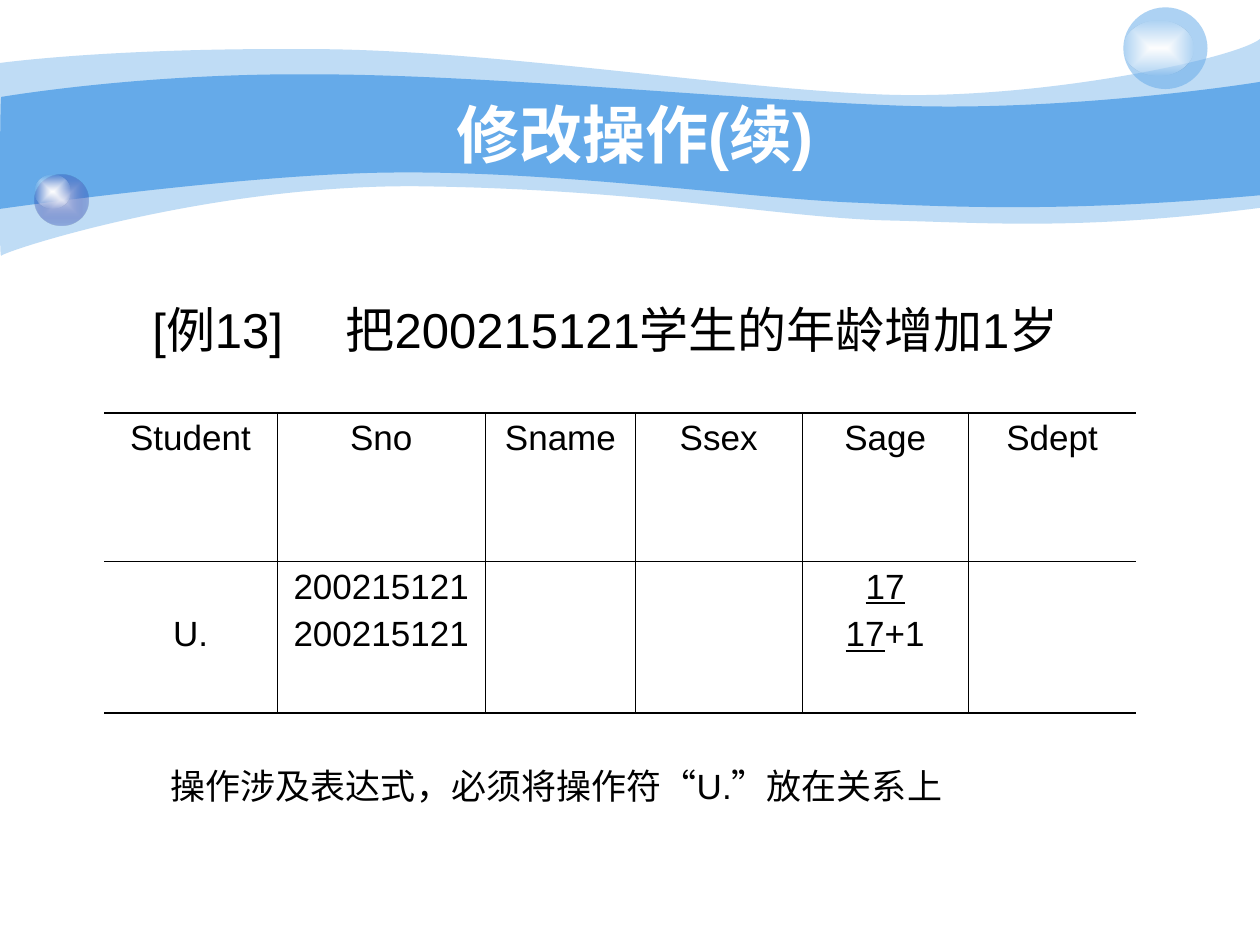
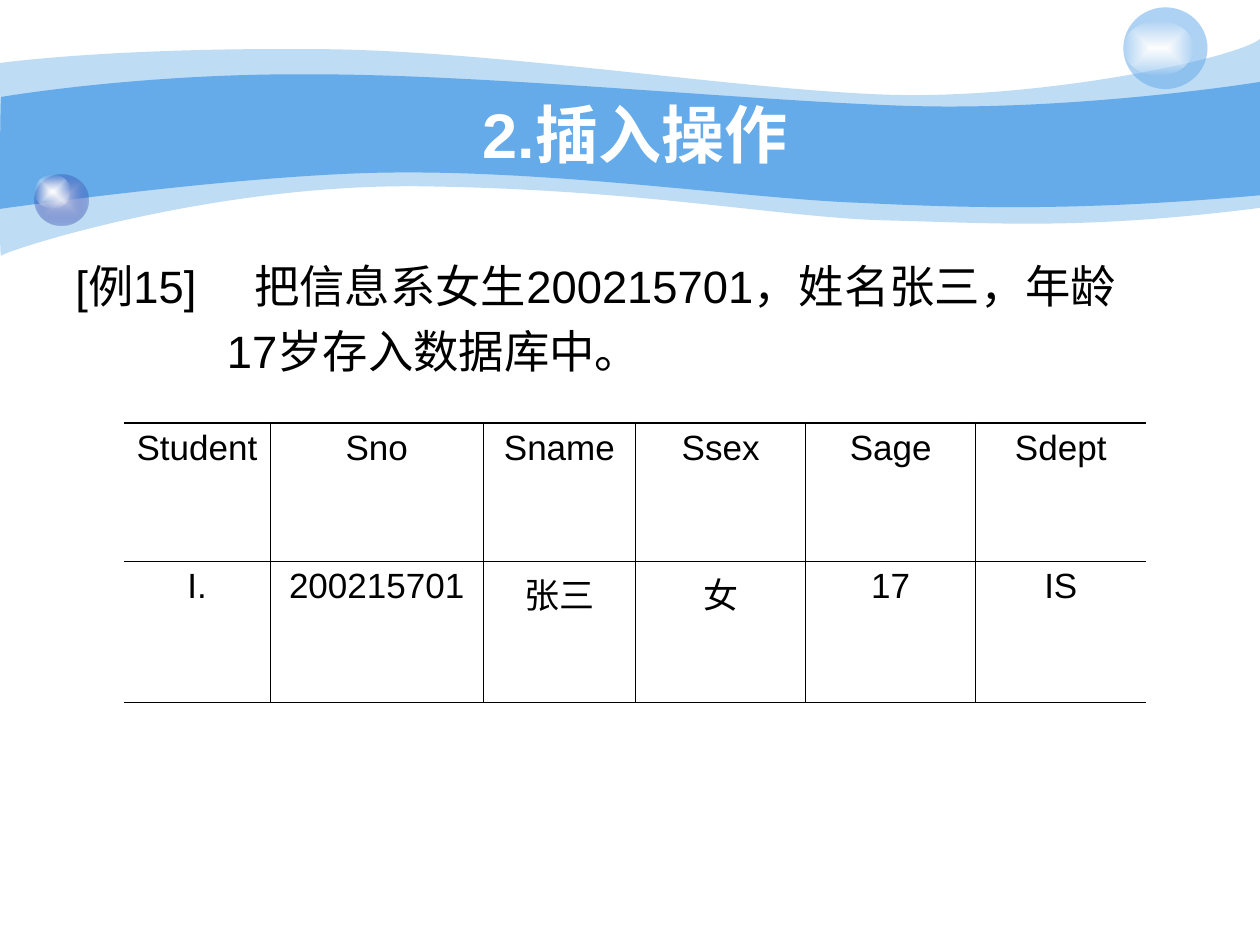
from lxml.etree import SubElement
from pptx import Presentation
from pptx.dml.color import RGBColor
from pptx.enum.shapes import MSO_SHAPE
from pptx.enum.text import MSO_ANCHOR, PP_ALIGN
from pptx.oxml import parse_xml
from pptx.oxml.ns import nsdecls, qn
from pptx.util import Pt

COLORS = {
    "wave": "65AAE9",
    "title": "FFFFFF",
    "text": "000000",
    "shine": "FFFFFF",
    "ball_center": "C7CEE9",
    "ball_edge": "233DA9",
}
FONT = "Arial"
OUTER_WAVE = [
    [(0, 36)],
    [(17.3, 33.8), (77, 27.4), (177.8, 28.1)],
    [(277.9, 28.1), (414, 50.4), (503.3, 54)],
    [(591.8, 57.6), (705.6, 33.8), (720, 22.3)],
    [(720, 118.8)],
    [(617.8, 131.8), (566.6, 127.4), (507.6, 126)],
    [(447.8, 124.6), (370.8, 108.7), (247, 106.6)],
    [(123.8, 103.7), (2.9, 143.3), (0.7, 146.2)],
    [(-0.7, 149.8), (0, 54), (0, 36)],
]
INNER_WAVE = [
    [(0.7, 55.4)],
    [(1.4, 55.4), (79.2, 41.8), (178.6, 42.5)],
    [(277.9, 42.5), (428.4, 57.6), (517, 60.5)],
    [(605.5, 63.4), (702.7, 49.7), (720, 46.8)],
    [(720, 111.6)],
    [(614.2, 121), (550.8, 118.8), (491, 115.9)],
    [(431.3, 113.8), (321.8, 97.9), (228.2, 98.6)],
    [(146.2, 98.6), (-1.4, 119.5), (-0.7, 119.5)],
    [(0, 119.5), (0, 55.4), (0.7, 55.4)],
]
HEADINGS = ["Student", "Sno", "Sname", "Ssex", "Sage", "Sdept"]
CELL_TEXT = {"size": Pt(20), "name": FONT}
SECOND_LINE_MARGIN = Pt(30.9)


def set_attributes(target, values):
    """Set every attribute named in a dict of format values."""
    for name, value in values.items():
        setattr(target, name, value)


def set_font(font, values, color="text"):
    """Apply format values and a named colour to a font."""
    set_attributes(font, values)
    font.color.rgb = RGBColor.from_string(COLORS[color])


def bend_lines(shape, segments):
    """Turn each run of three lines of a freeform into one cubic curve."""
    lines = iter(shape._element.findall(".//" + qn("a:lnTo")))
    for segment in segments[1:]:
        group = [next(lines) for _ in segment]
        if len(group) == 3:
            curve = parse_xml(f'<a:cubicBezTo {nsdecls("a")}/>')
            group[0].addprevious(curve)
            for line in group:
                curve.append(line[0])
                line.getparent().remove(line)


def fill_solid(shape, color, opacity=100):
    """Fill a shape with a colour, partly transparent if asked."""
    shape.fill.solid()
    shape.fill.fore_color.rgb = RGBColor.from_string(COLORS[color])
    if opacity < 100:
        color_element = shape.fill._xPr.find(".//" + qn("a:srgbClr"))
        SubElement(color_element, qn("a:alpha"), val=str(opacity * 1000))


def fill_glow(shape, center, edge, edge_opacity):
    """Fill a shape with a gradient that runs from its centre to its edge."""
    shape.fill.background()
    empty_fill = shape._element.spPr.find(qn("a:noFill"))
    gradient = parse_xml(
        f'<a:gradFill {nsdecls("a")} rotWithShape="1"><a:gsLst>'
        f'<a:gs pos="0"><a:srgbClr val="{COLORS[center]}"/></a:gs>'
        f'<a:gs pos="100000"><a:srgbClr val="{COLORS[edge]}">'
        f'<a:alpha val="{edge_opacity * 1000}"/></a:srgbClr></a:gs></a:gsLst>'
        '<a:path path="rect"><a:fillToRect l="50000" t="50000" r="50000" b="50000"/>'
        '</a:path></a:gradFill>')
    empty_fill.getparent().replace(empty_fill, gradient)


def add_wave(slide, segments, opacity=100):
    """Draw one wavy band across the slide."""
    points = [(Pt(x), Pt(y)) for segment in segments for x, y in segment]
    builder = slide.shapes.build_freeform(*points[0])
    builder.add_line_segments(points[1:], close=True)
    shape = builder.convert_to_shape()
    bend_lines(shape, segments)
    shape.shadow.inherit = False
    shape.line.fill.background()
    fill_solid(shape, "wave", opacity)


def add_ball(slide, left, top, width, height):
    """Draw an ellipse without outline and return it."""
    shape = slide.shapes.add_shape(
        MSO_SHAPE.OVAL, Pt(left), Pt(top), Pt(width), Pt(height))
    shape.shadow.inherit = False
    shape.line.fill.background()
    return shape


def add_background(slide):
    """Draw the bands and balls that every slide shares."""
    add_wave(slide, OUTER_WAVE, opacity=41)
    add_wave(slide, INNER_WAVE)
    fill_glow(add_ball(slide, 19.7, 100, 30.6, 28.8), "ball_center", "ball_edge", 31)
    fill_glow(add_ball(slide, 19.7, 100, 20.4, 19.4), "shine", "shine", 0)
    fill_solid(add_ball(slide, 641.9, 4.2, 48.1, 46.7), "wave", 53)
    fill_glow(add_ball(slide, 641.9, 12.1, 40.3, 31), "shine", "shine", 0)


def add_text_box(slide, left, top, width, height):
    """Add a wrapping text box and return its frame."""
    frame = slide.shapes.add_textbox(Pt(left), Pt(top), Pt(width), Pt(height)).text_frame
    frame.word_wrap = True
    return frame


def add_title(slide, text):
    """Write the centred slide title on the band."""
    frame = add_text_box(slide, 72, 54, 581.8, 44.6)
    frame.vertical_anchor = MSO_ANCHOR.MIDDLE
    paragraph = frame.paragraphs[0]
    paragraph.text = text
    paragraph.alignment = PP_ALIGN.CENTER
    set_font(paragraph.font, {"size": Pt(36), "bold": True, "name": FONT}, "title")


def add_body(slide, box, margins, tab, gap, lines):
    """Write (text, size, indent) lines with a tab stop and a gap between."""
    frame = add_text_box(slide, *box)
    set_attributes(frame, margins)
    for index, (text, size, indent) in enumerate(lines):
        paragraph = frame.add_paragraph() if index else frame.paragraphs[0]
        paragraph.text = text
        properties = paragraph._p.get_or_add_pPr()
        properties.set("marL", str(Pt(indent)))
        if index:
            paragraph.space_before = Pt(gap)
        if "\t" in text:
            stops = SubElement(properties, qn("a:tabLst"))
            SubElement(stops, qn("a:tab"), pos=str(Pt(tab)), algn="l")
        set_font(paragraph.font, {"size": Pt(size), "name": FONT})


def set_borders(cell, widths):
    """Draw the cell borders; a width of zero hides a side."""
    properties = cell._tc.get_or_add_tcPr()
    for index, (side, width) in enumerate(widths.items()):
        fill = (f'<a:solidFill><a:srgbClr val="{COLORS["text"]}"/></a:solidFill>'
                if width else "<a:noFill/>")
        properties.insert(index, parse_xml(
            f'<a:ln{side} {nsdecls("a")} w="{Pt(width)}">{fill}</a:ln{side}>'))


def fill_cell(cell, lines):
    """Write centred lines; a pair holds underlined and plain text."""
    for index, line in enumerate(lines):
        paragraph = cell.text_frame.add_paragraph() if index else cell.text_frame.paragraphs[0]
        paragraph.alignment = PP_ALIGN.CENTER
        if index:
            paragraph.space_before = Pt(5)
        underlined, plain = ("", line) if isinstance(line, str) else line
        for text, underline in ((underlined, True), (plain, False)):
            if text:
                run = paragraph.add_run()
                run.text = text
                set_font(run.font, {**CELL_TEXT, "underline": underline})


def add_student_table(slide, left, top, column_widths, row_heights, record):
    """Add the Student query table and return it."""
    rows = [[[heading] for heading in HEADINGS], record]
    table = slide.shapes.add_table(
        len(rows), len(HEADINGS), Pt(left), Pt(top),
        Pt(sum(column_widths)), Pt(sum(row_heights))).table
    set_attributes(table, {"first_row": False, "horz_banding": False})
    for column, width in zip(table.columns, column_widths):
        column.width = Pt(width)
    last_column = len(HEADINGS) - 1
    for row_index, (lines_by_cell, height) in enumerate(zip(rows, row_heights)):
        table.rows[row_index].height = Pt(height)
        for column_index, lines in enumerate(lines_by_cell):
            cell = table.cell(row_index, column_index)
            cell.fill.background()
            fill_cell(cell, lines)
            set_borders(cell, {
                "L": 0.45 if column_index else 0,
                "R": 0.45 if column_index < last_column else 0,
                "T": 0.45 if row_index else 1.08,
                "B": 1.08 if row_index else 0.45})
    return table


def add_slide(presentation, title):
    """Add a slide with the shared background and a title."""
    slide = presentation.slides.add_slide(presentation.slide_layouts[6])
    add_background(slide)
    add_title(slide, title)
    return slide


def build_update_slide(presentation):
    """Build the slide on the update operation."""
    slide = add_slide(presentation, "修改操作(续)")
    add_body(slide, (36, 144, 647.3, 354.2),
             {"margin_left": Pt(51.1), "margin_top": Pt(27.2)}, 110.5, 232.2,
             [("[例13]\t把200215121学生的年龄增加1岁", 28, 0),
              ("操作涉及表达式，必须将操作符“U.”放在关系上", 20, 10.4)])
    table = add_student_table(
        slide, 59.5, 235.9, [98.8, 119.2, 85.6, 95.2, 95.2, 95.6], [84.8, 86.6],
        [["U."], ["200215121", "200215121"], [], [], [("17", ""), ("17", "+1")], []])
    table.cell(1, 0).margin_top = SECOND_LINE_MARGIN


def build_insert_slide(presentation):
    """Build the slide on the insert operation."""
    slide = add_slide(presentation, "2.插入操作")
    add_body(slide, (36, 144, 658.8, 86.4), {}, 102.2, 6.3,
             [("[例15]\t把信息系女生200215701，姓名张三，年龄", 25.9, 0),
              ("17岁存入数据库中。", 25.9, 86.6)])
    add_student_table(
        slide, 70.8, 241.6, [83.6, 121.8, 87, 97.2, 97.2, 97.2], [79, 80.8],
        [["I."], ["200215701"], ["张三"], ["女"], ["17"], ["IS"]])


def main():
    """Build and save the presentation."""
    presentation = Presentation()
    set_attributes(presentation, {"slide_width": Pt(720), "slide_height": Pt(540)})
    build_update_slide(presentation)
    build_insert_slide(presentation)
    presentation.save("out.pptx")


if __name__ == "__main__":
    main()
